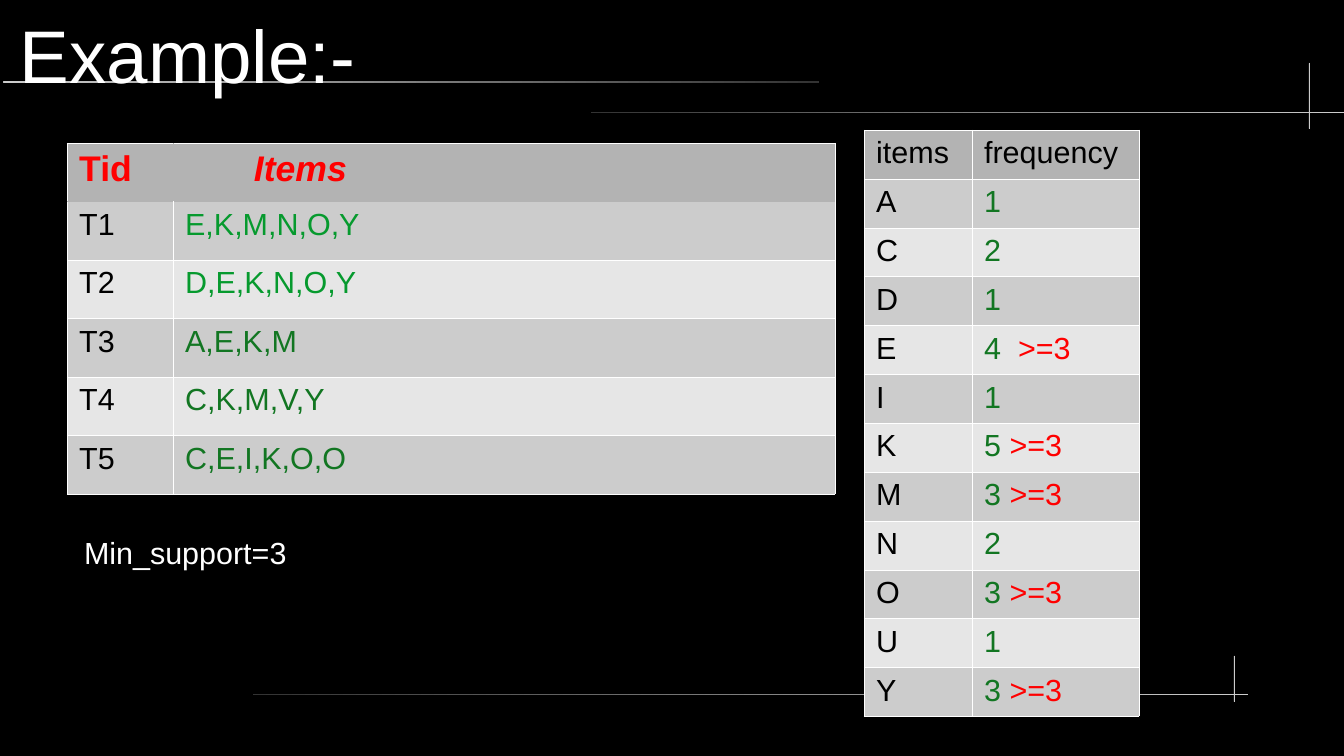
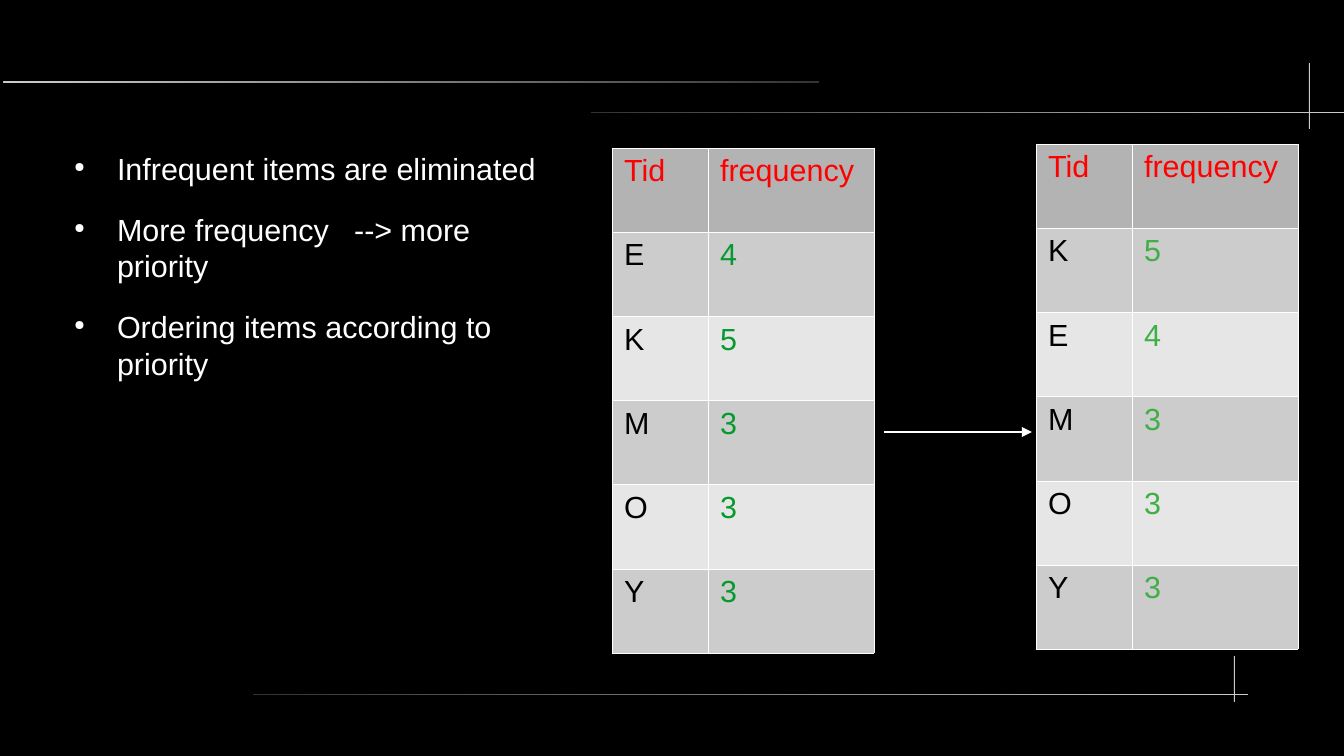
from lxml.etree import SubElement
from pptx import Presentation
from pptx.dml.color import RGBColor
from pptx.enum.shapes import MSO_CONNECTOR as Connector, MSO_SHAPE as Shape
from pptx.enum.text import MSO_ANCHOR as Anchor
from pptx.oxml.ns import qn
from pptx.util import Pt

EMU_PER_PX = 914400 / 122
FONT = "Arial"
COLORS = {
    "background": "000000",
    "white": "FFFFFF",
    "black": "000000",
    "red": "FF0000",
    "green": "069A2E",
    "dark_green": "127622",
    "light_green": "3FAF46",
    "header": "B3B3B3",
    "odd_row": "CCCCCC",
    "even_row": "E6E6E6",
    "rule_light": "CCCCCC",
    "rule_dark": "333333",
}
RULES = [
    ((3, 81, 816, 2), "rule_light", "rule_dark"),
    ((591, 112, 753, 1), "rule_dark", "rule_light"),
    ((1309, 63, 1, 66), "rule_light", "rule_light"),
    ((253, 694, 995, 1), "rule_dark", "rule_light"),
    ((1234, 656, 1, 46), "rule_light", "rule_light"),
]
HAIRLINE = 762


def px(length):
    return round(length * EMU_PER_PX)


def rgb(name):
    return RGBColor.from_string(COLORS[name])


def write(paragraph, text, size=18, color="white", bold=False, italic=False):
    run = paragraph.add_run()
    run.text = text
    font = run.font
    font.name, font.size = FONT, Pt(size)
    font.bold, font.italic = bold, italic
    font.color.rgb = rgb(color)


def add_text_frame(slide, box, anchor=Anchor.TOP, inset=(12, 6)):
    frame = slide.shapes.add_textbox(*map(px, box)).text_frame
    frame.word_wrap = True
    frame.vertical_anchor = anchor
    frame.margin_left = frame.margin_right = px(inset[0])
    frame.margin_top = frame.margin_bottom = px(inset[1])
    return frame


def add_rule(slide, box, start, end):
    shape = slide.shapes.add_shape(Shape.ROUNDED_RECTANGLE, *map(px, box))
    shape.shadow.inherit = False
    shape.adjustments[0] = 0.5
    shape.line.fill.background()
    if start == end:
        shape.fill.solid()
        shape.fill.fore_color.rgb = rgb(start)
        return
    shape.fill.gradient()
    shape.fill.gradient_angle = 0
    for stop, name, position in zip(shape.fill.gradient_stops, (start, end), (0, 1)):
        stop.color.rgb = rgb(name)
        stop.position = position


def add_framed_slide(presentation):
    slide = presentation.slides.add_slide(presentation.slide_layouts[6])
    for box, start, end in RULES:
        add_rule(slide, box, start, end)
    return slide


def add_title(slide, box, text):
    frame = add_text_frame(slide, box, Anchor.MIDDLE, (0, 0))
    write(frame.paragraphs[0], text, size=44)


def set_borders(cell, colors):
    properties = cell._tc.get_or_add_tcPr()
    for index, (side, name) in enumerate(colors.items()):
        line = properties.makeelement(qn(f"a:ln{side}"), {"w": str(HAIRLINE)})
        fill = SubElement(line, qn("a:solidFill"))
        SubElement(fill, qn("a:srgbClr"), val=COLORS[name])
        properties.insert(index, line)


def border_colors(row, column, open_header):
    colors = dict.fromkeys("LRTB", "white")
    if open_header and row == 0:
        colors["B"] = "header"
        colors["L" if column else "R"] = "header"
    if open_header and row == 1:
        colors["T"] = "header"
    return colors


def add_data_table(slide, box, widths, header, rows, open_header=False, **header_format):
    left, top, height = box
    contents = [[[(text, header_format)] for text in header]]
    for label, *runs in rows:
        contents.append([
            [(label, {"color": "black"})],
            [(text, {"color": color}) for text, color in runs],
        ])
    frame = slide.shapes.add_table(
        len(contents), len(widths), px(left), px(top), px(sum(widths)), px(height))
    table = frame.table
    table.horz_banding = False
    for column, width in zip(table.columns, widths):
        column.width = px(width)
    for row_index, cells in enumerate(contents):
        table.rows[row_index].height = px(height / len(contents))
        band = "header" if row_index == 0 else ("even_row", "odd_row")[row_index % 2]
        for column_index, runs in enumerate(cells):
            cell = table.cell(row_index, column_index)
            cell.fill.solid()
            cell.fill.fore_color.rgb = rgb(band)
            set_borders(cell, border_colors(row_index, column_index, open_header))
            for text, text_format in runs:
                write(cell.text_frame.paragraphs[0], text, **text_format)
    return table


def add_bullets(slide, box, items):
    frame = add_text_frame(slide, box)
    for index, text in enumerate(items):
        paragraph = frame.add_paragraph() if index else frame.paragraphs[0]
        paragraph.space_before = Pt(14.2)
        properties = paragraph._p.get_or_add_pPr()
        properties.set("marL", str(px(57)))
        properties.set("indent", str(px(-43)))
        color = SubElement(properties, qn("a:buClr"))
        SubElement(color, qn("a:srgbClr"), val=COLORS["white"])
        SubElement(properties, qn("a:buSzPct"), val="45000")
        SubElement(properties, qn("a:buChar"), char="●")
        write(paragraph, text)


def add_arrow(slide, start, end):
    arrow = slide.shapes.add_connector(Connector.STRAIGHT, *map(px, start + end))
    arrow.line.color.rgb = rgb("white")
    arrow.line.width = Pt(0.85)
    SubElement(arrow.line._get_or_add_ln(), qn("a:tailEnd"), type="triangle")
    SubElement(arrow._element.spPr, qn("a:effectLst"))


def build_example_slide(presentation):
    slide = add_framed_slide(presentation)
    add_title(slide, (20, 10, 1272, 87), "Example:-")
    transactions = [
        ("T1", ("E,K,M,N,O,Y", "green")),
        ("T2", ("D,E,K,N,O,Y", "green")),
        ("T3", ("A,E,K,M", "dark_green")),
        ("T4", ("C,K,M,V,Y", "dark_green")),
        ("T5", ("C,E,I,K,O,O", "dark_green")),
    ]
    table = add_data_table(slide, (67, 143, 351), (106, 662), ("Tid", "Items"),
                           transactions, open_header=True,
                           size=21, color="red", bold=True)
    items_header = table.cell(0, 1)
    items_header.margin_left = px(81)
    items_header.text_frame.paragraphs[0].runs[0].font.italic = True

    counts = [("A", "1"), ("C", "2"), ("D", "1"), ("E", "4", "  >=3"), ("I", "1"),
              ("K", "5 ", ">=3"), ("M", "3 ", ">=3"), ("N", "2"),
              ("O", "3 ", ">=3"), ("U", "1"), ("Y", "3 ", ">=3")]
    rows = [(item, *zip(texts, ("dark_green", "red"))) for item, *texts in counts]
    add_data_table(slide, (864, 130, 585), (108, 167), ("items", "frequency"),
                   rows, color="black")
    support = add_text_frame(slide, (72, 528, 360, 46))
    write(support.paragraphs[0], "Min_support=3")


def build_ordering_slide(presentation):
    slide = add_framed_slide(presentation)
    counts = {"E": 4, "K": 5, "M": 3, "O": 3, "Y": 3}
    ordered = sorted(counts.items(), key=lambda entry: -entry[1])
    for left, top, entries, color in (
        (612, 148, counts.items(), "green"),
        (1036, 144, ordered, "light_green"),
    ):
        rows = [(item, (str(count), color)) for item, count in entries]
        add_data_table(slide, (left, top, 505), (96, 166), ("Tid", "frequency"),
                       rows, color="red")
    add_arrow(slide, (884, 432), (1032, 432))
    add_bullets(slide, (48, 144, 504, 231), [
        "Infrequent items are eliminated",
        "More frequency   --> more priority",
        "Ordering items according to priority",
    ])


def main():
    presentation = Presentation()
    presentation.slide_width, presentation.slide_height = px(1344), px(756)
    background = presentation.slide_master.background.fill
    background.solid()
    background.fore_color.rgb = rgb("background")
    build_example_slide(presentation)
    build_ordering_slide(presentation)
    presentation.save("out.pptx")


if __name__ == "__main__":
    main()
